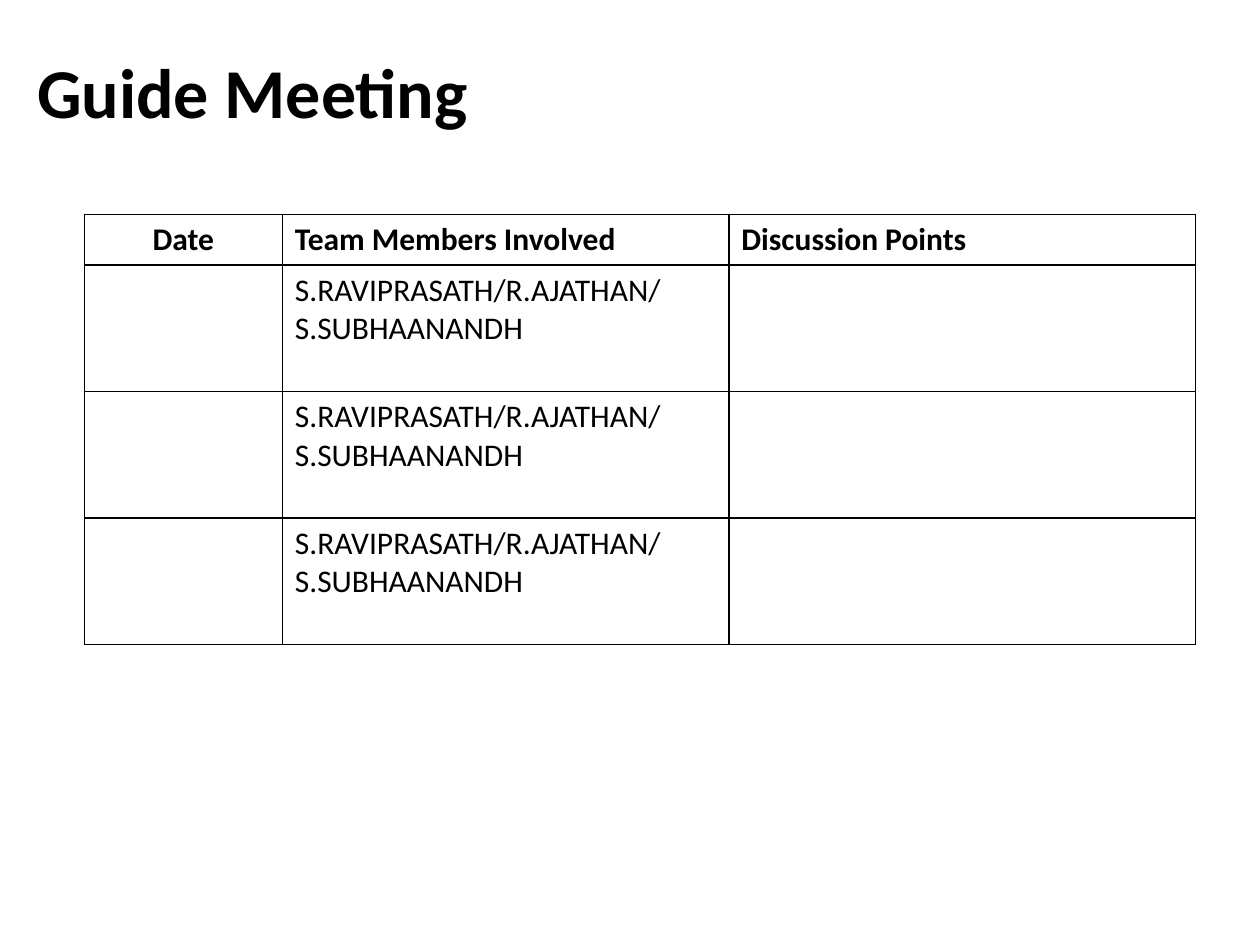
import pptx
import pptx.dml.color
import pptx.enum.text
import pptx.oxml
import pptx.oxml.ns
import pptx.util

Cm = pptx.util.Cm
BLACK = "000000"
WHITE = "FFFFFF"
TITLE_FORMAT = {"name": "Calibri", "size": pptx.util.Pt(40), "bold": True}
HEADER_FORMAT = {"name": "Calibri", "size": pptx.util.Pt(18), "bold": True}
BODY_FORMAT = {**HEADER_FORMAT, "bold": False}

HEADERS = ["Date", "Team Members Involved", "Discussion Points"]
MEMBERS = ["S.RAVIPRASATH/R.AJATHAN/", "S.SUBHAANANDH"]
MEETING_COUNT = 3
COLUMN_SHARES = [1.57, 3.54, 3.7]
HEADER_HEIGHT = 1.02


def color(value):
    return pptx.dml.color.RGBColor.from_string(value)


def write_lines(text_frame, lines, font_format):
    for index, line in enumerate(lines):
        paragraph = text_frame.paragraphs[0] if index == 0 else text_frame.add_paragraph()
        run = paragraph.add_run()
        run.text = line
        for attribute, value in font_format.items():
            setattr(run.font, attribute, value)
        run.font.color.rgb = color(BLACK)


def style_cell(cell):
    properties = cell._tc.get_or_add_tcPr()
    for side in ("lnL", "lnR", "lnT", "lnB"):
        properties.append(pptx.oxml.parse_xml(
            f'<a:{side} {pptx.oxml.ns.nsdecls("a")} w="{pptx.util.Pt(1)}">'
            f'<a:solidFill><a:srgbClr val="{BLACK}"/></a:solidFill></a:{side}>'
        ))
    cell.fill.solid()
    cell.fill.fore_color.rgb = color(WHITE)


def add_title(slide, left, top, width, height):
    shape = slide.shapes.add_textbox(Cm(left), Cm(top), Cm(width), Cm(height))
    frame_format = {
        "word_wrap": True,
        "vertical_anchor": pptx.enum.text.MSO_ANCHOR.MIDDLE,
    }
    for attribute, value in frame_format.items():
        setattr(shape.text_frame, attribute, value)
    write_lines(shape.text_frame, ["Guide Meeting"], TITLE_FORMAT)


def add_meeting_table(slide, left, top, width, height):
    rows = [[[header] for header in HEADERS]]
    rows += [[[], MEMBERS, []] for _ in range(MEETING_COUNT)]
    table = slide.shapes.add_table(
        len(rows), len(HEADERS), Cm(left), Cm(top), Cm(width), Cm(height)
    ).table
    for column, share in zip(table.columns, COLUMN_SHARES):
        column.width = Cm(width * share / sum(COLUMN_SHARES))
    for row_index, row in enumerate(rows):
        is_header = row_index == 0
        row_height = HEADER_HEIGHT if is_header else (height - HEADER_HEIGHT) / MEETING_COUNT
        table.rows[row_index].height = Cm(row_height)
        for column_index, lines in enumerate(row):
            cell = table.cell(row_index, column_index)
            style_cell(cell)
            write_lines(cell.text_frame, lines, HEADER_FORMAT if is_header else BODY_FORMAT)
    date_paragraph = table.cell(0, 0).text_frame.paragraphs[0]
    date_paragraph.alignment = pptx.enum.text.PP_ALIGN.CENTER


def main():
    presentation = pptx.Presentation()
    for attribute, value in {"slide_width": Cm(25.4), "slide_height": Cm(19.05)}.items():
        setattr(presentation, attribute, value)
    slide = presentation.slides.add_slide(presentation.slide_layouts[6])
    slide.background.fill.solid()
    slide.background.fill.fore_color.rgb = color(WHITE)
    add_title(slide, 0.5, 0.53, 22.86, 2.6)
    add_meeting_table(slide, 1.7, 4.32, 22.4, 8.67)
    presentation.save("out.pptx")


if __name__ == "__main__":
    main()
